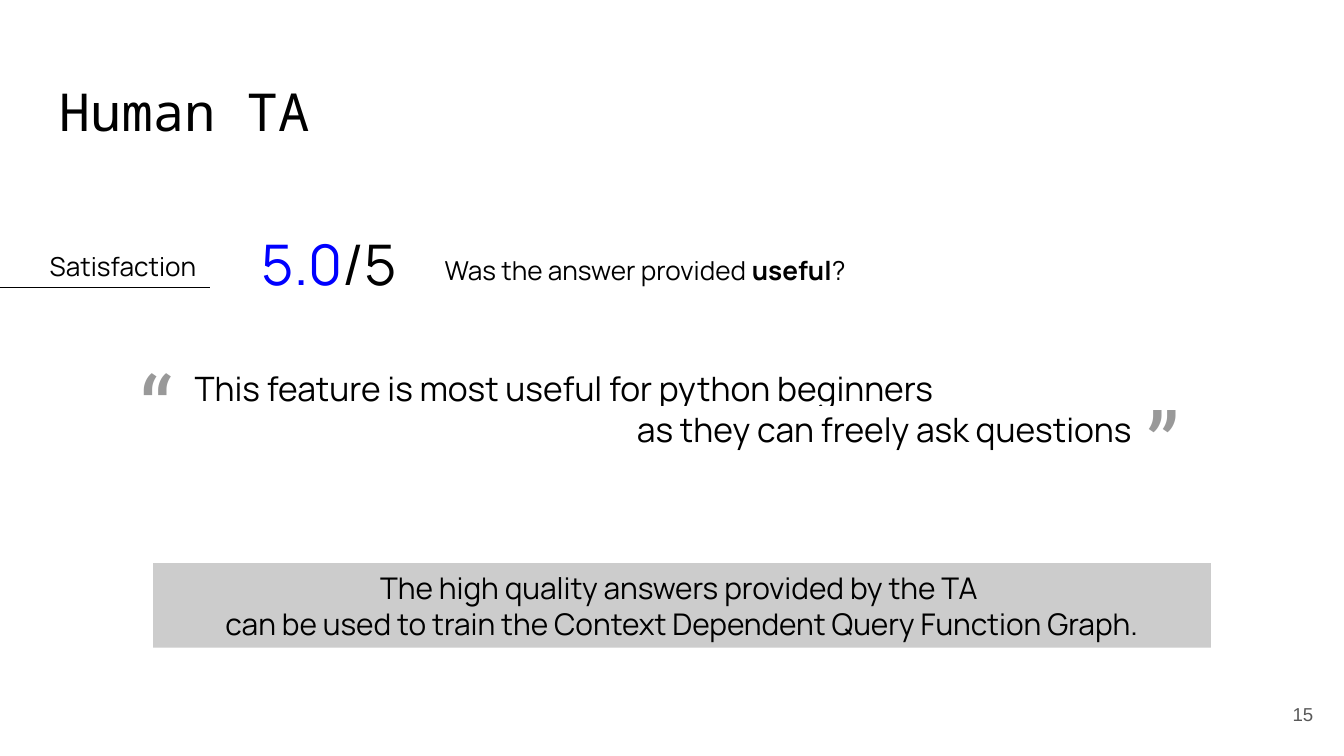
from lxml import etree
from pptx import Presentation
from pptx.dml.color import RGBColor
from pptx.enum.shapes import MSO_CONNECTOR, MSO_SHAPE
from pptx.enum.text import MSO_ANCHOR, PP_ALIGN
from pptx.oxml.ns import qn
from pptx.util import Inches, Pt

BLACK = RGBColor(0x00, 0x00, 0x00)
WHITE = RGBColor(0xFF, 0xFF, 0xFF)
BLUE = RGBColor(0x00, 0x00, 0xFF)
DARK_GRAY = RGBColor(0x59, 0x59, 0x59)
MID_GRAY = RGBColor(0x99, 0x99, 0x99)
LIGHT_GRAY = RGBColor(0xCC, 0xCC, 0xCC)

LEFT, CENTER, RIGHT = PP_ALIGN.LEFT, PP_ALIGN.CENTER, PP_ALIGN.RIGHT
TOP, MIDDLE, BOTTOM = MSO_ANCHOR.TOP, MSO_ANCHOR.MIDDLE, MSO_ANCHOR.BOTTOM
BODY_FONT = "Manrope"


def highlight(r, color):
    """Put a background colour behind a run that already has a text colour."""
    fill = r._r.rPr.find(qn("a:solidFill"))
    hl = etree.Element(qn("a:highlight"))
    etree.SubElement(hl, qn("a:srgbClr"), val=str(color))
    fill.addnext(hl)


def add_run(p, text, size, name, color, bold=False):
    r = p.add_run()
    r.text = text
    for key, value in {"size": Pt(size), "name": name, "bold": bold}.items():
        setattr(r.font, key, value)
    r.font.color.rgb = color
    return r


def fill_text(sp, paragraphs, size, name=BODY_FONT, color=BLACK,
              anchor=TOP, back=None):
    """paragraphs: (alignment, [(text, format overrides), ...]) pairs."""
    tf = sp.text_frame
    inset = Inches(0.1)
    frame = {"word_wrap": True, "vertical_anchor": anchor,
             "margin_left": inset, "margin_right": inset,
             "margin_top": inset, "margin_bottom": inset}
    for key, value in frame.items():
        setattr(tf, key, value)
    for i, (align, runs) in enumerate(paragraphs):
        p = tf.add_paragraph() if i else tf.paragraphs[0]
        p.alignment = align
        for text, extra in runs:
            r = add_run(p, text, **{"size": size, "name": name,
                                    "color": color, **extra})
            if back is not None:
                highlight(r, back)


def add_text(s, box, paragraphs, size, **fmt):
    sp = s.shapes.add_textbox(*map(Inches, box))
    fill_text(sp, paragraphs, size, **fmt)


def add_banner(s, box, paragraphs, size):
    sp = s.shapes.add_shape(MSO_SHAPE.RECTANGLE, *map(Inches, box))
    sp.shadow.inherit = False
    sp.fill.solid()
    sp.fill.fore_color.rgb = LIGHT_GRAY
    sp.line.fill.background()
    fill_text(sp, paragraphs, size, anchor=MIDDLE)


def add_rule(s, x1, x2, y):
    line = s.shapes.add_connector(MSO_CONNECTOR.STRAIGHT, Inches(x1),
                                  Inches(y), Inches(x2), Inches(y))
    line.line.color.rgb = BLACK
    line.line.width = Pt(0.75)
    etree.SubElement(line._element.spPr, qn("a:effectLst"))


def main():
    # 16:9 slide
    prs = Presentation()
    prs.slide_width = Inches(10)
    prs.slide_height = prs.slide_width * 9 // 16
    s = prs.slides.add_slide(prs.slide_layouts[6])

    # Page number and title
    add_text(s, (9.27, 5.1, 0.6, 0.43), [(RIGHT, [("15", {})])], 10,
             name="Arial", color=DARK_GRAY, anchor=MIDDLE)
    add_text(s, (0.34, 0.49, 9.32, 0.63), [(LEFT, [("Human TA", {})])], 28,
             name="Noto Sans Mono")

    # Satisfaction score and its question
    add_text(s, (0.15, 1.5, 1.41, 0.7), [(RIGHT, [("Satisfaction", {})])], 14,
             anchor=BOTTOM)
    add_rule(s, 1.56, 0, 2.14)
    add_text(s, (1.52, 1.61, 1.53, 0.7),
             [(RIGHT, [("5.0", {"color": BLUE}), ("/5", {})])], 30)
    add_text(s, (3.21, 1.8, 6.6, 0.43),
             [(LEFT, [("Was the answer provided ", {}),
                      ("useful", {"bold": True}), ("?", {})])], 14,
             anchor=BOTTOM)

    # Conclusion banner
    add_banner(s, (1.14, 4.19, 7.87, 0.63), [
        (CENTER, [("The high quality answers provided by the TA ", {})]),
        (CENTER, [("can be used to train the Context Dependent Query "
                   "Function Graph.", {})]),
    ], 16)

    # Quotation between large quote marks
    add_text(s, (1.35, 2.64, 7.17, 0.7), [
        (LEFT, [("This feature is most useful for python beginners", {})]),
        (RIGHT, [("as they can freely ask questions", {})]),
    ], 18, back=WHITE)
    for mark, x, y in (("“", 0.94, 2.51), ("”", 8.43, 2.78)):
        add_text(s, (x, y, 0.63, 0.58), [(LEFT, [(mark, {})])], 50,
                 name="Roboto", color=MID_GRAY)

    prs.save("out.pptx")


if __name__ == "__main__":
    main()
